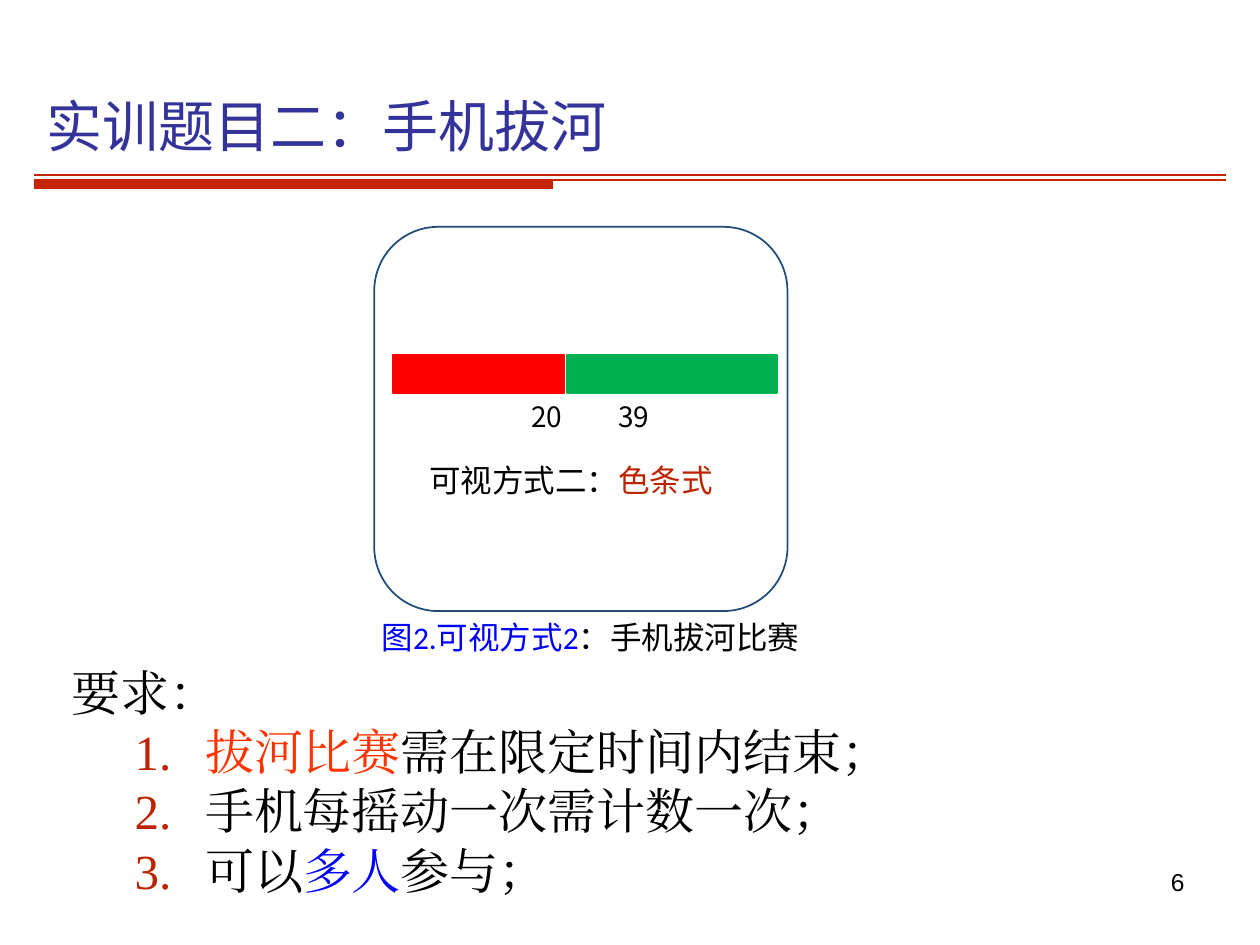
"""Build the slide on the phone tug-of-war training task."""
from lxml import etree
from pptx import Presentation
from pptx.dml.color import RGBColor
from pptx.enum import shapes, text
from pptx.oxml import ns
from pptx.util import Inches, Pt

BLACK = RGBColor(0x00, 0x00, 0x00)
WHITE = RGBColor(0xFF, 0xFF, 0xFF)
NAVY = RGBColor(0x33, 0x33, 0x99)
RULE = RGBColor(0xC4, 0x25, 0x00)
BRICK = RGBColor(0xBC, 0x24, 0x00)
ORANGE = RGBColor(0xFF, 0x33, 0x00)
BLUE = RGBColor(0x00, 0x00, 0xFF)
FRAME = RGBColor(0x1F, 0x4D, 0x78)
RED = RGBColor(0xFF, 0x00, 0x00)
GREEN = RGBColor(0x00, 0xB0, 0x50)
NOTO = "Noto Sans CJK SC"


def add_text(box, lines, size, face, wrap=True, **form):
    """Add a text box whose lines are lists of (words, colour)."""
    frame = slide.shapes.add_textbox(*map(Inches, box)).text_frame
    frame.word_wrap = wrap
    frame.vertical_anchor = form.pop("anchor", text.MSO_ANCHOR.TOP)
    for i, line in enumerate(lines):
        para = frame.add_paragraph() if i else frame.paragraphs[0]
        for key, val in form.items():
            setattr(para, key, val)
        for words, color in line:
            run = para.add_run()
            run.text = words
            font = run.font
            font.size, font.name = Pt(size), face
            font.color.rgb = color
            east = etree.SubElement(font._element, ns.qn("a:ea"))
            east.set("typeface", face)
    return frame


deck = Presentation()
deck.slide_width, deck.slide_height = Inches(10), Inches(7.5)
slide = deck.slides.add_slide(deck.slide_layouts[6])

add_text((7.17, 6.83, 2.33, 0.52), [[("6", BLACK)]], 14, "Arial",
         alignment=text.PP_ALIGN.RIGHT)
add_text((0.27, 0.52, 8.98, 0.94), [[("实训题目二：手机拔河", NAVY)]], 32,
         "Arial", anchor=text.MSO_ANCHOR.MIDDLE)

for end, y, width in [(9.73, 1.43, 1.25), (4.39, 1.47, 4.75), (9.73, 1.39, 1.25)]:
    rule = slide.shapes.add_connector(
        shapes.MSO_CONNECTOR.STRAIGHT, Inches(0.27), Inches(y), Inches(end), Inches(y))
    rule.line.color.rgb = RULE
    rule.line.width = Pt(width)
    etree.SubElement(rule._element.spPr, ns.qn("a:effectLst"))

tasks = add_text((0.47, 5.2, 8.98, 1.97), [
    [("要求：", BLACK)],
    [("拔河比赛", ORANGE), ("需在限定时间内结束；", BLACK)],
    [("手机每摇动一次需计数一次；", BLACK)],
    [("可以", BLACK), ("多人", BLUE), ("参与；", BLACK)],
], 28, "Times New Roman", line_spacing=Pt(34))
for para in tasks.paragraphs[1:]:
    para.level = 1
    props = para._p.get_or_add_pPr()
    props.set("marL", str(Inches(1.06)))
    props.set("indent", str(Inches(-0.56)))
    tint = etree.SubElement(props, ns.qn("a:buClr"))
    etree.SubElement(tint, ns.qn("a:srgbClr")).set("val", str(BRICK))
    etree.SubElement(props, ns.qn("a:buFont")).set("typeface", NOTO)
    etree.SubElement(props, ns.qn("a:buAutoNum")).set("type", "arabicPeriod")

KIND = shapes.MSO_SHAPE
for kind, box, fill, edge in [
    (KIND.ROUNDED_RECTANGLE, (2.97, 1.8, 3.28, 3.05), WHITE, FRAME),
    (KIND.RECTANGLE, (3.12, 2.82, 1.36, 0.3), RED, RED),
    (KIND.RECTANGLE, (4.5, 2.82, 1.67, 0.3), GREEN, GREEN),
]:
    part = slide.shapes.add_shape(kind, *map(Inches, box))
    part.shadow.inherit = False
    part.fill.solid()
    part.fill.fore_color.rgb = fill
    part.line.color.rgb = edge
    part.line.width = Pt(1)

add_text((3.31, 3.61, 2.45, 0.4), [[("可视方式二：", BLACK), ("色条式", BRICK)]],
         18, NOTO, wrap=False)
for left, score in [(4.12, "20"), (4.81, "39")]:
    add_text((left, 3.12, 0.5, 0.37), [[(score, BLACK)]], 16, NOTO, wrap=False)
add_text((2.93, 4.85, 3.6, 0.7), [[("图2.可视方式2", BLUE), ("：手机拔河比赛", BLACK)]],
         18, "Calibri", line_spacing=Pt(22))

deck.save("out.pptx")
